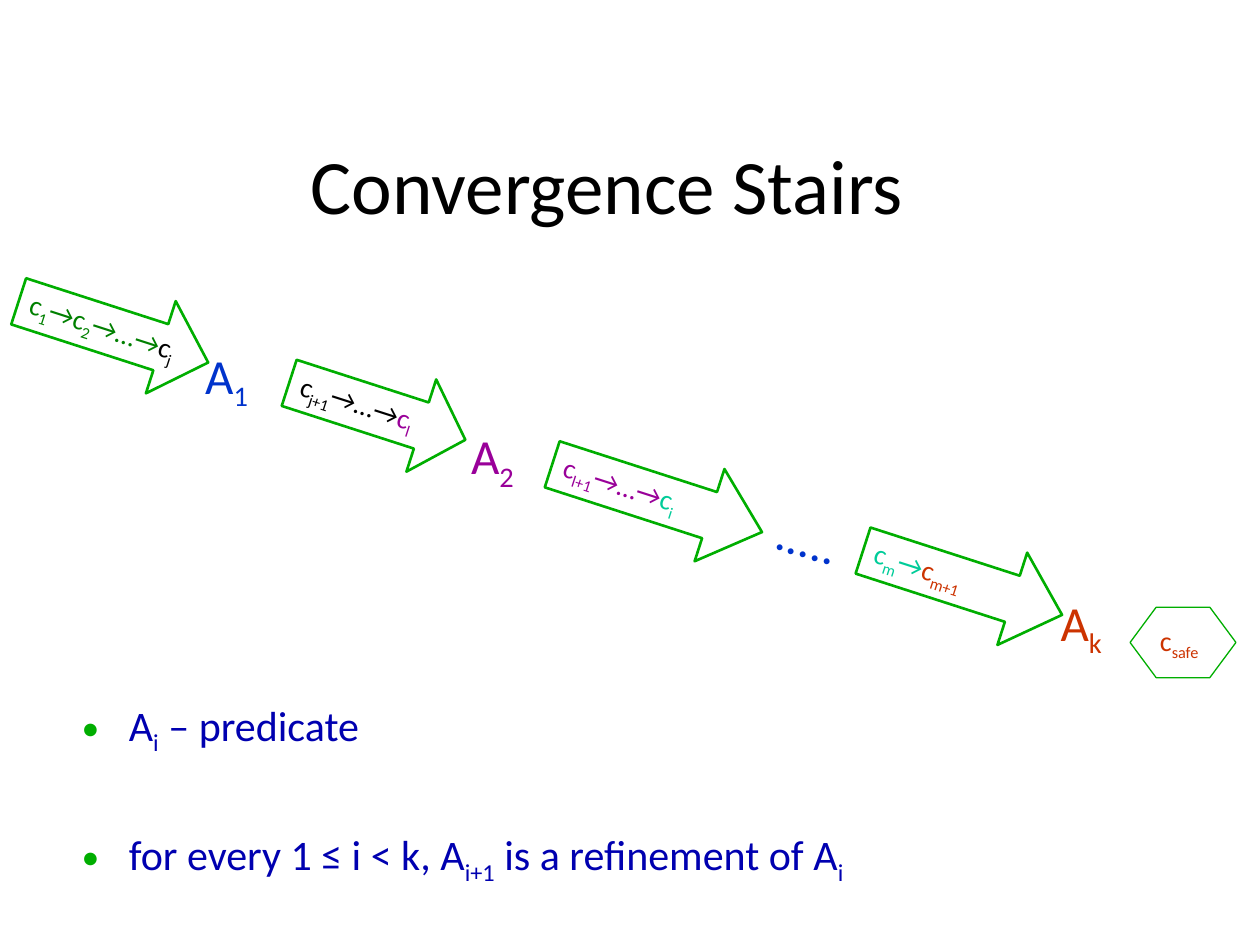
from dataclasses import dataclass

from lxml.etree import SubElement
from pptx import Presentation
from pptx.dml.color import RGBColor
from pptx.enum.shapes import MSO_SHAPE
from pptx.enum.text import MSO_ANCHOR, MSO_AUTO_SIZE, PP_ALIGN
from pptx.oxml.ns import qn
from pptx.util import Pt

BLACK = RGBColor(0x00, 0x00, 0x00)
EDGE = RGBColor(0x00, 0xAE, 0x00)
GREEN = RGBColor(0x00, 0x80, 0x00)
BLUE = RGBColor(0x00, 0x33, 0xCC)
NAVY = RGBColor(0x00, 0x00, 0xB0)
PURPLE = RGBColor(0x99, 0x00, 0x99)
TEAL = RGBColor(0x00, 0xCC, 0x99)
RED = RGBColor(0xCC, 0x33, 0x00)
FONT = "Calibri"
TILT = 17.9
ARROW_H = 55.4


@dataclass
class Term:
    """Text of one colour; bars switch between normal and subscript."""
    text: str
    color: RGBColor


@dataclass
class Arrow:
    left: float
    top: float
    width: float
    terms: list[Term]


@dataclass
class Label:
    left: float
    top: float
    term: Term
    turn: float = 0


ARROWS = [
    Arrow(7.9, 162, 113.8, [Term("c|1|→c|2|→…→", GREEN), Term("c|j", BLACK)]),
    Arrow(162.7, 207.4, 105.8, [Term("c|j+1|→…→", BLACK), Term("c|l", PURPLE)]),
    Arrow(312.5, 257, 126, [Term("c|l+1|→…→", PURPLE), Term("c|i", TEAL)]),
    Arrow(490.3, 305.3, 119.5, [Term("c|m|→", TEAL), Term("c|m+1", RED)]),
]
LABELS = [
    Label(110.2, 193.7, Term("A|1", BLUE)),
    Label(262.1, 239.8, Term("A|2", PURPLE)),
    Label(437, 288, Term(".....", BLUE), 16.6),
    Label(599, 334.8, Term("A|k", RED)),
]
NOTES = [
    Term("A|i| – predicate", NAVY),
    Term("for every 1 ≤ i < k, A|i+1| is a refinement of A|i", NAVY),
]


def write(para, terms: list[Term], size: float) -> None:
    for term in terms:
        for n, text in enumerate(term.text.split("|")):
            run = para.add_run()
            run.text = text
            font = run.font
            font.name, font.size = FONT, Pt(size)
            font.color.rgb = term.color
            if n % 2:
                run._r.get_or_add_rPr().set("baseline", "-25000")


def outline(slide, kind, box: tuple, weight: float, terms: list[Term]):
    """Add an unfilled shape with small text inside."""
    shape = slide.shapes.add_shape(kind, *map(Pt, box))
    shape.shadow.inherit = False
    shape.fill.background()
    shape.line.color.rgb = EDGE
    shape.line.width = Pt(weight)
    frame = shape.text_frame
    frame.word_wrap = False
    frame.vertical_anchor = MSO_ANCHOR.MIDDLE
    para = frame.paragraphs[0]
    para.alignment = PP_ALIGN.LEFT
    write(para, terms, 16)
    return shape


def draw_arrow(slide, arrow: Arrow) -> None:
    box = (arrow.left, arrow.top, arrow.width, ARROW_H)
    shape = outline(slide, MSO_SHAPE.RIGHT_ARROW, box, 1.5, arrow.terms)
    shape.rotation = TILT
    # The head takes a quarter of the length.
    shape.adjustments[1] = arrow.width / ARROW_H / 4


def draw_label(slide, label: Label) -> None:
    box = slide.shapes.add_textbox(Pt(label.left), Pt(label.top), Pt(52.6), Pt(41))
    box.rotation = label.turn
    frame = box.text_frame
    frame.word_wrap = True
    frame.auto_size = MSO_AUTO_SIZE.SHAPE_TO_FIT_TEXT
    write(frame.paragraphs[0], [label.term], 28)


def add_bullet(para) -> None:
    props = para._p.get_or_add_pPr()
    props.set("marL", str(Pt(27)))
    props.set("indent", str(-Pt(27)))
    tint = SubElement(props, qn("a:buClr"))
    SubElement(tint, qn("a:srgbClr")).set("val", str(EDGE))
    SubElement(props, qn("a:buSzPct")).set("val", "85000")
    SubElement(props, qn("a:buFont")).set("typeface", FONT)
    SubElement(props, qn("a:buChar")).set("char", "•")


def draw_notes(slide) -> None:
    box = slide.shapes.add_textbox(Pt(39.6), Pt(360.7), Pt(607), Pt(101.5))
    frame = box.text_frame
    frame.word_wrap = True
    frame.margin_top = Pt(38.8)
    for n, note in enumerate(NOTES):
        para = frame.add_paragraph() if n else frame.paragraphs[0]
        if n:
            para.space_before = Pt(41.2)
        add_bullet(para)
        write(para, [note], 24)


def draw_title(slide) -> None:
    title = slide.shapes.title
    title.left, title.top = Pt(41), Pt(74.2)
    title.width, title.height = Pt(612), Pt(61.2)
    frame = title.text_frame
    frame.vertical_anchor = MSO_ANCHOR.MIDDLE
    para = frame.paragraphs[0]
    para.alignment = PP_ALIGN.CENTER
    write(para, [Term("Convergence Stairs", BLACK)], 44)


def main() -> None:
    deck = Presentation()
    deck.slide_width, deck.slide_height = Pt(720), Pt(540)
    slide = deck.slides.add_slide(deck.slide_layouts[5])
    draw_title(slide)
    for arrow in ARROWS:
        draw_arrow(slide, arrow)
    for label in LABELS:
        draw_label(slide, label)
    safe = outline(slide, MSO_SHAPE.HEXAGON, (645.8, 347, 60.5, 40.3), 0.75,
                   [Term("c|safe", RED)])
    safe.adjustments[0] = 0.37
    draw_notes(slide)
    deck.save("out.pptx")


if __name__ == "__main__":
    main()
